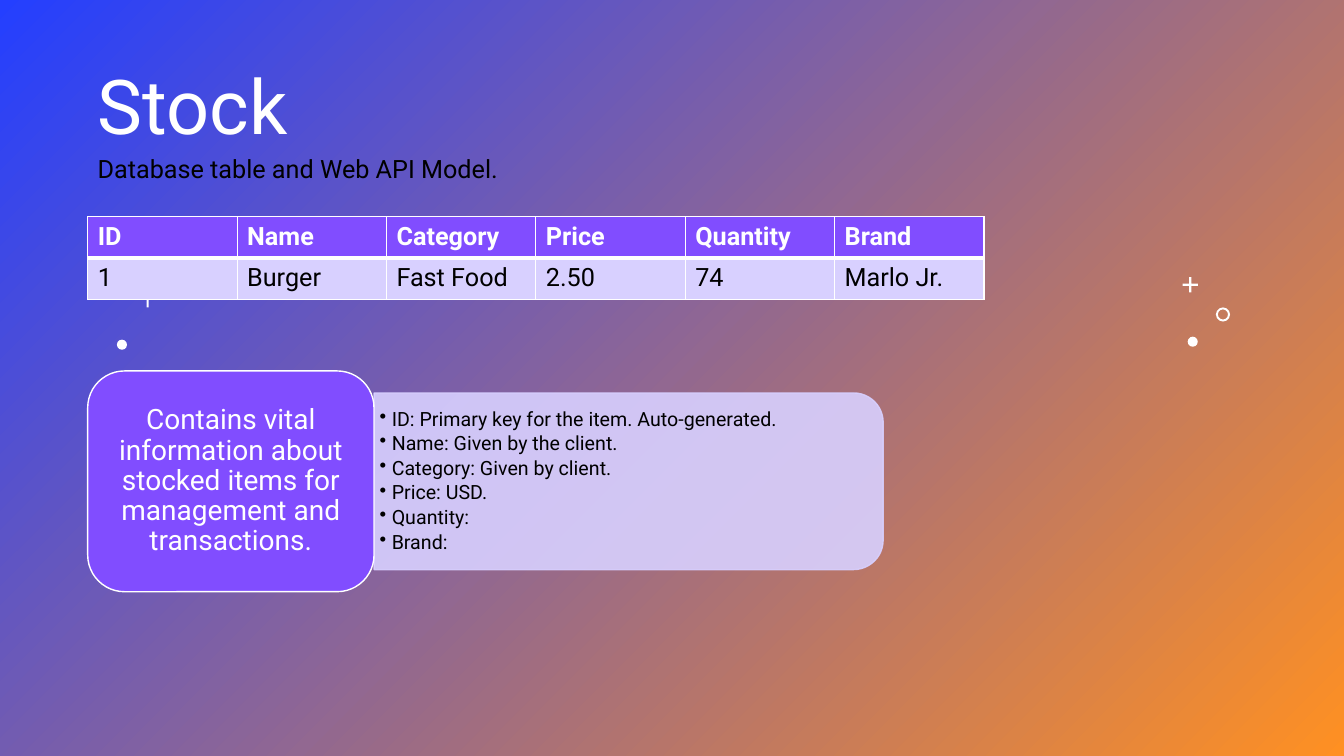
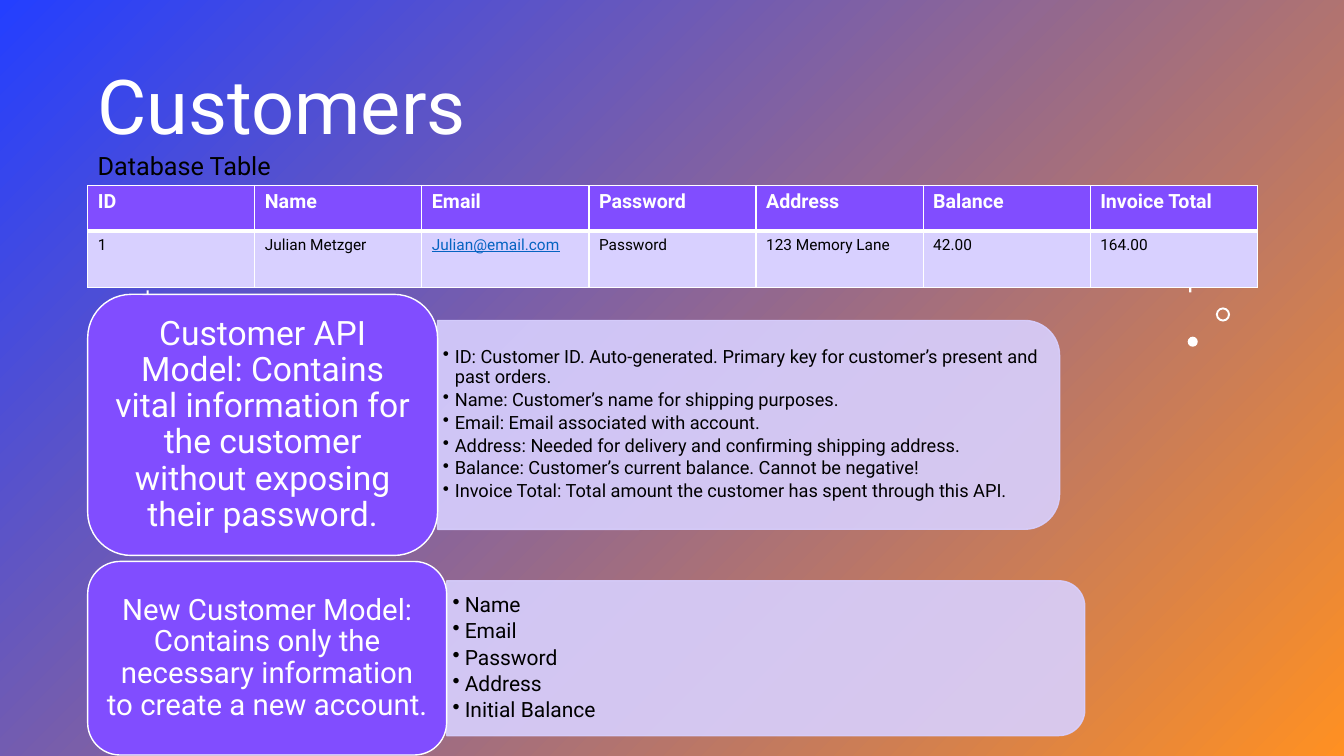
from lxml import etree
from pptx import Presentation
from pptx.dml.color import RGBColor
from pptx.enum.shapes import MSO_SHAPE
from pptx.enum.text import MSO_ANCHOR, MSO_AUTO_SIZE, PP_ALIGN
from pptx.oxml.ns import qn
from pptx.util import Inches, Pt

CENTER, LEFT = PP_ALIGN.CENTER, PP_ALIGN.LEFT
TOP, MIDDLE = MSO_ANCHOR.TOP, MSO_ANCHOR.MIDDLE
OVAL, CROSS, DONUT = MSO_SHAPE.OVAL, MSO_SHAPE.CROSS, MSO_SHAPE.DONUT
ROUNDED, HALF_ROUNDED = MSO_SHAPE.ROUNDED_RECTANGLE, MSO_SHAPE.ROUND_2_SAME_RECTANGLE

BLUE = RGBColor(0x24, 0x3F, 0xFF)
ORANGE = RGBColor(0xFF, 0x90, 0x22)
PURPLE = RGBColor(0x81, 0x4D, 0xFF)
LILAC = RGBColor(0xD8, 0xD0, 0xFF)
LINK = RGBColor(0x05, 0x63, 0xC1)
WHITE = RGBColor(0xFF, 0xFF, 0xFF)
BLACK = RGBColor(0, 0, 0)
FONT = "Roboto"
MARGIN = 0.87

ORNAMENTS = [
    (OVAL, 11.78, 3.34, 0.1, None),
    (CROSS, 11.73, 2.75, 0.15, 0.43),
    (DONUT, 12.06, 3.05, 0.14, 0.14),
    (CROSS, 1.38, 2.88, 0.17, 0.44),
    (OVAL, 1.16, 3.37, 0.1, None),
]

PAGES = [
    {
        "title": "Stock", "title_width": 2.24,
        "caption": "Database table and Web API Model.", "caption_top": 1.47,
        "table": {
            "top": 2.15, "width": 8.89, "row_heights": (0.41, 0.41), "sizes": (18, 18),
            "rows": [
                ("ID", "Name", "Category", "Price", "Quantity", "Brand"),
                ("1", "Burger", "Fast Food", "2.50", "74", "Marlo Jr."),
            ],
        },
        "cards": [
            {
                "top": 3.68, "width": 2.84, "height": 2.19, "size": 20, "bullet_size": 14,
                "text": "Contains vital information about stocked items for management and transactions.",
                "bullets": [
                    "ID: Primary key for the item. Auto-generated.",
                    "Name: Given by the client.",
                    "Category: Given by client.",
                    "Price: USD.",
                    "Quantity:",
                    "Brand:",
                ],
            },
        ],
    },
    {
        "title": "Customers", "title_width": 4.29,
        "caption": "Database Table", "caption_top": 1.44,
        "table": {
            "top": 1.84, "width": 11.6, "row_heights": (0.45, 0.56), "sizes": (14, 11),
            "rows": [
                ("ID", "Name", "Email", "Password", "Address", "Balance", "Invoice Total"),
                ("1", "Julian Metzger", "Julian@email.com", "Password",
                 "123 Memory Lane", "42.00", "164.00"),
            ],
        },
        "cards": [
            {
                "top": 2.92, "width": 3.47, "height": 2.59, "size": 24, "bullet_size": 13,
                "text": "Customer API Model: Contains vital information for the customer "
                        "without exposing their password.",
                "bullets": [
                    "ID: Customer ID. Auto-generated. Primary key for customer’s present and past orders.",
                    "Name: Customer’s name for shipping purposes.",
                    "Email: Email associated with account.",
                    "Address: Needed for delivery and confirming shipping address.",
                    "Balance: Customer’s current balance. Cannot be negative!",
                    "Invoice Total: Total amount the customer has spent through this API.",
                ],
            },
            {
                "top": 5.57, "width": 3.56, "height": 1.92, "size": 21, "bullet_size": 15,
                "text": "New Customer Model: Contains only the necessary information "
                        "to create a new account.",
                "bullets": ["Name", "Email", "Password", "Address", "Initial Balance"],
            },
        ],
    },
]


def place(shape, left, top, width, height):
    shape.left, shape.top = Inches(left), Inches(top)
    shape.width, shape.height = Inches(width), Inches(height)


def add_shape(page, kind, left, top, width, height, fill):
    shape = page.shapes.add_shape(
        kind, Inches(left), Inches(top), Inches(width), Inches(height))
    shape.shadow.inherit = False
    shape.fill.solid()
    shape.fill.fore_color.rgb = fill
    return shape


def add_text_box(page, left, top, width, height):
    box = page.shapes.add_textbox(Inches(left), Inches(top), Inches(width), Inches(height))
    box.text_frame.word_wrap = True
    return box


def set_lines(frame, lines, size, color, align=LEFT, bold=False):
    frame.text = "\n".join(lines)
    for para in frame.paragraphs:
        para.alignment = align
        for span in para.runs:
            span.font.name = FONT
            span.font.size = Pt(size)
            span.font.bold = bold
            span.font.color.rgb = color


def set_insets(frame, size):
    frame.margin_left = frame.margin_right = Inches(size * 0.004)
    frame.margin_top = frame.margin_bottom = Inches(size * 0.002)
    frame.vertical_anchor = MIDDLE


def set_up_layout(layout, page):
    fill = layout.background.fill
    fill.gradient()
    fill.gradient_angle = 315
    for stop, color in zip(fill.gradient_stops, (BLUE, ORANGE)):
        stop.color.rgb = color
    for kind, left, top, side, adjustment in ORNAMENTS:
        ornament = add_shape(page, kind, left, top, side, side, WHITE)
        ornament.line.fill.background()
        if adjustment:
            ornament.adjustments[0] = adjustment
        layout.shapes.element.append(ornament.element)


def add_headings(page, content):
    title = page.shapes.title
    place(title, MARGIN, 0.53, content["title_width"], 1.01)
    frame = title.text_frame
    frame.auto_size = MSO_AUTO_SIZE.NONE
    frame.word_wrap = False
    frame.vertical_anchor = TOP
    set_lines(frame, [content["title"]], 54, WHITE)
    caption = add_text_box(page, MARGIN, content["caption_top"], 7, 0.4)
    set_lines(caption.text_frame, [content["caption"]], 18, BLACK)


def set_borders(cell, top, bottom):
    properties = cell._tc.get_or_add_tcPr()
    edges = (("a:lnL", 1), ("a:lnR", 1), ("a:lnT", top), ("a:lnB", bottom))
    for index, (tag, width) in enumerate(edges):
        edge = etree.Element(qn(tag), w=str(Pt(width)))
        solid = etree.SubElement(edge, qn("a:solidFill"))
        etree.SubElement(solid, qn("a:srgbClr"), val=str(WHITE))
        properties.insert(index, edge)


def add_data_table(page, top, width, row_heights, sizes, rows):
    table = page.shapes.add_table(
        len(rows), len(rows[0]), Inches(MARGIN), Inches(top),
        Inches(width), Inches(sum(row_heights))).table
    table.horz_banding = False
    for column in table.columns:
        column.width = Inches(width / len(rows[0]))
    for row_index, values in enumerate(rows):
        table.rows[row_index].height = Inches(row_heights[row_index])
        header = row_index == 0
        for column_index, value in enumerate(values):
            cell = table.cell(row_index, column_index)
            cell.fill.solid()
            cell.fill.fore_color.rgb = PURPLE if header else LILAC
            color = WHITE if header else LINK if "@" in value else BLACK
            set_lines(cell.text_frame, [value], sizes[row_index], color, bold=header)
            if color == LINK:
                cell.text_frame.paragraphs[0].runs[0].font.underline = True
            set_borders(cell, 1 if header else 3, 3 if header else 1)


def add_panel(page, left, middle, width, height):
    panel = add_shape(page, HALF_ROUNDED, left + (width - height) / 2,
                      middle - width / 2, height, width, LILAC)
    panel.rotation = 90
    panel.line.color.rgb = LILAC
    panel.line.width = Pt(1)
    for color in panel.element.spPr.iter(qn("a:srgbClr")):
        etree.SubElement(color, qn("a:alpha"), val="90000")


def add_bullets(box, lines, size):
    set_insets(box.text_frame, size)
    set_lines(box.text_frame, lines, size, BLACK)
    for para in box.text_frame.paragraphs:
        para.line_spacing = 0.9
        para.space_after = Pt(round(size * 0.175, 1))
        properties = para._p.get_or_add_pPr()
        properties.set("marL", str(Inches(0.12)))
        properties.set("indent", str(-Inches(0.12)))
        etree.SubElement(properties, qn("a:buChar"), char="•")


def add_card(page, top, width, height, size, bullet_size, text, bullets):
    right, middle = MARGIN + width, top + height / 2
    panel_width, panel_height = width * 16 / 9, height * 0.8
    add_panel(page, right, middle, panel_width, panel_height)
    box = add_text_box(page, right, middle - panel_height * 0.45,
                       panel_width - panel_height * 0.05, panel_height * 0.9)
    add_bullets(box, bullets, bullet_size)

    card = add_shape(page, ROUNDED, MARGIN, top, width, height, PURPLE)
    card.line.color.rgb = WHITE
    card.line.width = Pt(1)
    set_insets(card.text_frame, size)
    set_lines(card.text_frame, [text], size, WHITE, CENTER)
    card.text_frame.paragraphs[0].line_spacing = 0.9


def main():
    deck = Presentation()
    deck.slide_width, deck.slide_height = Inches(13.33), Inches(7.5)
    layout = deck.slide_layouts[5]
    for index, content in enumerate(PAGES):
        page = deck.slides.add_slide(layout)
        if index == 0:
            set_up_layout(layout, page)
        add_headings(page, content)
        add_data_table(page, **content["table"])
        for card in content["cards"]:
            add_card(page, **card)
    deck.save("out.pptx")


if __name__ == "__main__":
    main()
